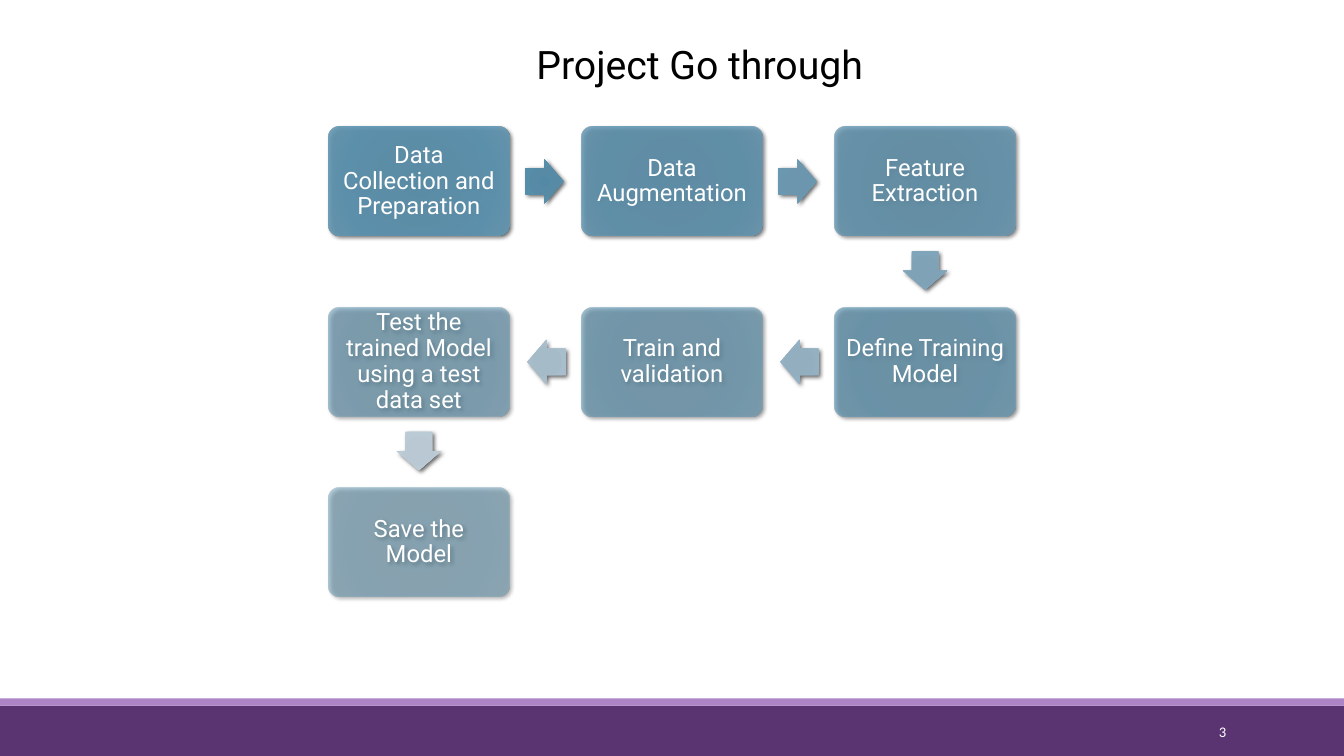
from dataclasses import dataclass

from pptx import Presentation
from pptx.dml.color import RGBColor
from pptx.enum.shapes import MSO_SHAPE
from pptx.enum.text import MSO_ANCHOR, PP_ALIGN
from pptx.oxml import parse_xml
from pptx.oxml.ns import nsdecls, qn
from pptx.util import Inches, Pt

COLOURS = {
    "band": "5A3471",
    "stripe": "AD84C6",
    "white": "FFFFFF",
    "black": "000000",
}
BOX_GRADIENT = ("5890AD", "5B91AD", "5A93B1", "6698B3")
GRADIENT_STOPS = (0, 34, 70, 100)

# Grid of the process boxes, in inches
LEFT, TOP = 3.26, 1.26
COLUMN_STEP, ROW_STEP = 2.51, 1.79
BOX_WIDTH, BOX_HEIGHT = 1.79, 1.08
ARROW_WIDTH, ARROW_HEIGHT = 0.38, 0.44
ARROW_SHIFT = 0.01


@dataclass
class Step:
    label: str
    column: int
    row: int

    @property
    def centre(self) -> tuple[float, float]:
        return (LEFT + self.column * COLUMN_STEP + BOX_WIDTH / 2,
                TOP + self.row * ROW_STEP + BOX_HEIGHT / 2)


@dataclass
class Arrow:
    rotation: int
    gradient: tuple[str, ...]


STEPS = [
    Step("Data Collection and Preparation", 0, 0),
    Step("Data Augmentation", 1, 0),
    Step("Feature Extraction", 2, 0),
    Step("Define Training Model", 2, 1),
    Step("Train and validation", 1, 1),
    Step("Test the trained Model using a test data set", 0, 1),
    Step("Save the Model", 0, 2),
]
# Each arrow leads from one step to the next
ARROWS = [
    Arrow(0, ("5489A5", "578AA5", "568DA9", "6191AB")),
    Arrow(0, ("6995AD", "6B96AD", "6B98B1", "769EB4")),
    Arrow(90, ("7DA1B5", "7FA2B6", "80A5BA", "8AABBE")),
    Arrow(180, ("90ADBE", "93AEBF", "94B1C3", "9FB8C8")),
    Arrow(180, ("A4B9C7", "A6BBC8", "A8BECC", "B3C6D2")),
    Arrow(90, ("B7C6D0", "B9C8D2", "BBCBD5", "C6D4DD")),
]


def write_text(shape, text: str, *, size: float, colour: str, font: str = "Roboto",
               align=PP_ALIGN.LEFT, anchor=MSO_ANCHOR.MIDDLE,
               inset: float | None = None, spacing: float = 1.0) -> None:
    frame = shape.text_frame
    frame.word_wrap = True
    frame.vertical_anchor = anchor
    if inset is not None:
        frame.margin_left = frame.margin_right = Inches(inset)
        frame.margin_top = frame.margin_bottom = Inches(inset)
    para = frame.paragraphs[0]
    para.alignment = align
    para.line_spacing = spacing
    span = para.add_run()
    span.text = text
    span.font.name = font
    span.font.size = Pt(size)
    span.font.color.rgb = RGBColor.from_string(COLOURS[colour])


def add_plain_shape(page, kind, left: float, top: float, width: float, height: float):
    shape = page.shapes.add_shape(
        kind, Inches(left), Inches(top), Inches(width), Inches(height))
    shape.shadow.inherit = False
    shape.line.fill.background()
    return shape


def add_bar(page, top: float, height: float, colour: str) -> None:
    bar = add_plain_shape(page, MSO_SHAPE.RECTANGLE, 0, top, 13.33, height)
    bar.fill.solid()
    bar.fill.fore_color.rgb = RGBColor.from_string(COLOURS[colour])


def shade(shape, gradient: tuple[str, ...], opacity: float = 100) -> None:
    """Give a shape a radial gradient and a soft shadow."""
    shape.fill.gradient()
    stops = "".join(
        f'<a:gs pos="{stop * 1000}"><a:srgbClr val="{colour}">'
        f'<a:alpha val="{round(opacity * 1000)}"/></a:srgbClr></a:gs>'
        for stop, colour in zip(GRADIENT_STOPS, gradient))
    properties = shape.element.spPr
    properties.replace(properties.find(qn("a:gradFill")), parse_xml(
        f'<a:gradFill {nsdecls("a")} rotWithShape="1"><a:gsLst>{stops}</a:gsLst>'
        '<a:path path="circle"><a:fillToRect l="100000" t="100000" r="100000" b="100000"/>'
        '</a:path></a:gradFill>'))
    properties.find(qn("a:effectLst")).append(parse_xml(
        f'<a:outerShdw {nsdecls("a")} blurRad="{Pt(3)}" dist="{Pt(2)}" dir="2700000" '
        f'algn="ctr" rotWithShape="0"><a:srgbClr val="{COLOURS["black"]}">'
        '<a:alpha val="60000"/></a:srgbClr></a:outerShdw>'))


def add_step(page, step: Step, opacity: float) -> None:
    x, y = step.centre
    box = add_plain_shape(page, MSO_SHAPE.ROUNDED_RECTANGLE, x - BOX_WIDTH / 2,
                          y - BOX_HEIGHT / 2, BOX_WIDTH, BOX_HEIGHT)
    box.adjustments[0] = 0.1
    shade(box, BOX_GRADIENT, opacity)
    write_text(box, step.label, size=17, colour="white", align=PP_ALIGN.CENTER,
               inset=0.07, spacing=0.9)


def add_arrow(page, arrow: Arrow, start: Step, end: Step) -> None:
    (x1, y1), (x2, y2) = start.centre, end.centre
    # Midway between the boxes, a touch nearer to the first
    x = (x1 + x2) / 2 - ARROW_SHIFT * (end.column - start.column)
    y = (y1 + y2) / 2 - ARROW_SHIFT * (end.row - start.row)
    shape = add_plain_shape(page, MSO_SHAPE.RIGHT_ARROW, x - ARROW_WIDTH / 2,
                            y - ARROW_HEIGHT / 2, ARROW_WIDTH, ARROW_HEIGHT)
    shape.adjustments[0], shape.adjustments[1] = 0.6, 0.5
    shape.rotation = arrow.rotation
    shade(shape, arrow.gradient)


def main() -> None:
    deck = Presentation()
    deck.slide_width, deck.slide_height = Inches(13.33), Inches(7.5)
    page = deck.slides.add_slide(deck.slide_layouts[5])

    # Footer bars and page number
    add_bar(page, 7, 0.5, "band")
    add_bar(page, 6.93, 0.07, "stripe")
    number = page.shapes.add_textbox(Inches(10.83), Inches(7.06), Inches(1.43), Inches(0.4))
    write_text(number, "3", size=10.5, colour="white", font="Calibri", align=PP_ALIGN.RIGHT)

    # Process steps, fading from 90 to 50 percent
    for index, step in enumerate(STEPS):
        add_step(page, step, 90 - 40 * index / (len(STEPS) - 1))
    for arrow, start, end in zip(ARROWS, STEPS, STEPS[1:]):
        add_arrow(page, arrow, start, end)

    # Title
    title = page.shapes.title
    title.left, title.top = Inches(5.22), Inches(0.35)
    title.width, title.height = Inches(3.48), Inches(0.57)
    write_text(title, "Project Go through", size=28, colour="black", anchor=MSO_ANCHOR.TOP)

    deck.save("out.pptx")


if __name__ == "__main__":
    main()
